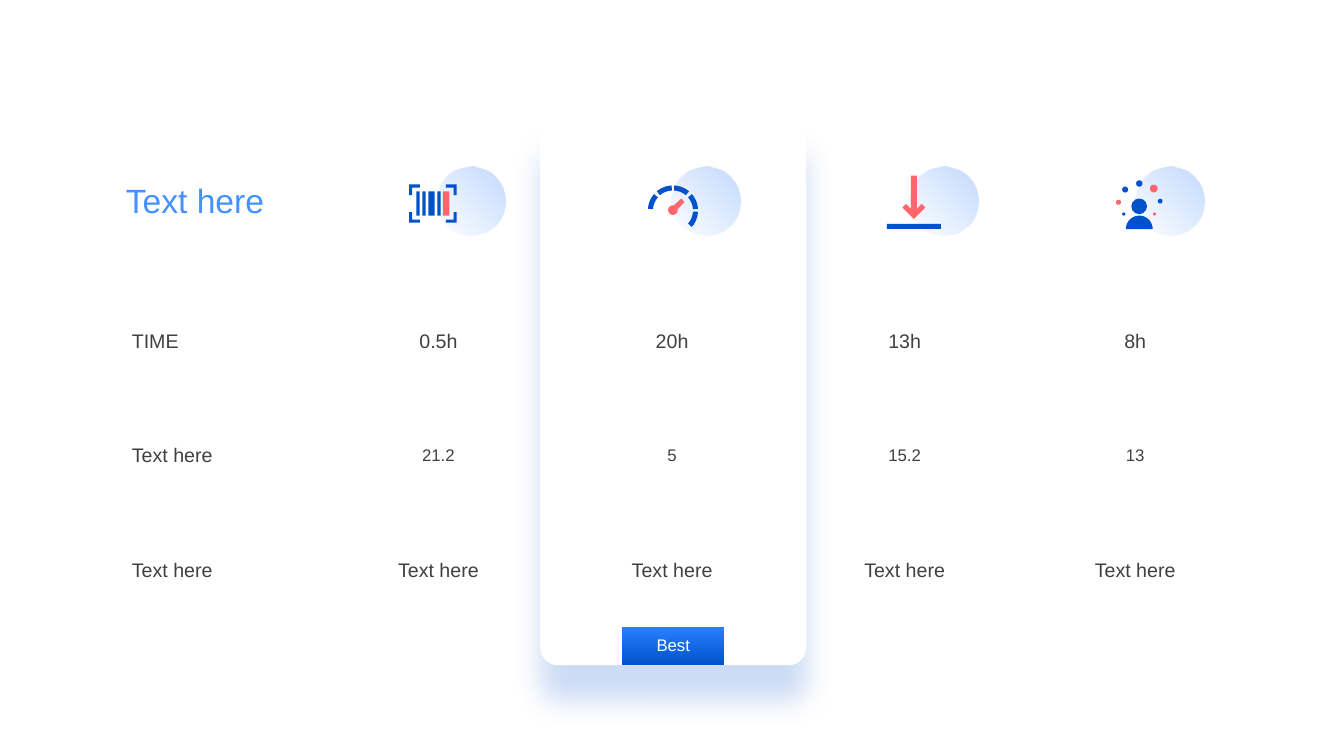
from math import cos, radians, sin

from lxml.etree import SubElement
from pptx import Presentation
from pptx.dml.color import RGBColor
from pptx.enum.shapes import MSO_SHAPE as SHAPE
from pptx.enum.text import MSO_AUTO_SIZE as AUTO, PP_ALIGN as ALIGN
from pptx.oxml.ns import qn
from pptx.util import Pt

COLORS = {"blue": "0052CC", "bright": "297FFF", "title": "4791FF", "pale": "C2DAFF",
          "coral": "FF666C", "gray": "404040", "white": "FFFFFF"}
RGB = {name: RGBColor.from_string(value) for name, value in COLORS.items()}

prs = Presentation()
prs.slide_width, prs.slide_height = Pt(960), Pt(540)
s = prs.slides.add_slide(prs.slide_layouts[6])


def add_text(text, left, middle, width, size=14, color="gray", align=ALIGN.CENTER):
    height = size * 1.2 + 7.2
    sp = s.shapes.add_textbox(Pt(left), Pt(middle - height / 2), Pt(width), Pt(height))
    tf = sp.text_frame
    tf.word_wrap = False
    tf.auto_size = AUTO.SHAPE_TO_FIT_TEXT
    p = tf.paragraphs[0]
    p.alignment = align
    r = p.add_run()
    r.text = text
    r.font.name = "Arial"
    r.font.size = Pt(size)
    r.font.color.rgb = RGB[color]
    return r


def add_filled(shapes, kind, color, geometry):
    if kind == "outline":
        points = [(Pt(x), Pt(y)) for x, y in geometry]
        builder = shapes.build_freeform(*points[0])
        builder.add_line_segments(points[1:], close=True)
        sp = builder.convert_to_shape()
    else:
        sp = shapes.add_shape(kind, *[Pt(v) for v in geometry])
    sp.shadow.inherit = False
    sp.fill.solid()
    sp.fill.fore_color.rgb = RGB[color]
    sp.line.fill.background()
    return sp


card = add_filled(s.shapes, SHAPE.ROUNDED_RECTANGLE, "white", (385.9, 83.5, 190.1, 391.7))
card.adjustments[0] = 0.067
effects = card._element.spPr.find(qn("a:effectLst"))
shadow = SubElement(effects, qn("a:outerShdw"), blurRad=str(Pt(20)), dist=str(Pt(25)),
                    dir="5400000", algn="t", rotWithShape="0")
tint = SubElement(shadow, qn("a:srgbClr"), val=COLORS["blue"])
SubElement(tint, qn("a:alpha"), val="20000")

for left in (479.5, 649.4, 811.4, 311.8):
    halo = add_filled(s.shapes, SHAPE.OVAL, "pale", (left, 118.8, 49.2, 49.2))
    halo.rotation = 28.2
    halo.fill.gradient()
    for stop in halo.fill.gradient_stops:
        stop.color.rgb = RGB["pale"]
    grad = halo._element.spPr.find(qn("a:gradFill"))
    SubElement(grad.findall(".//" + qn("a:srgbClr"))[1], qn("a:alpha"), val="0")
    grad.remove(grad.find(qn("a:lin")))
    focus = SubElement(grad, qn("a:path"), path="circle")
    SubElement(focus, qn("a:fillToRect"), l="100000", b="100000")

title = add_text("Text here", 82.8, 143.3, 114.5, 24, "title", ALIGN.LEFT)
title.font.fill.gradient()
title.font.fill.gradient_angle = 315
for stop, color in zip(title.font.fill.gradient_stops, ("title", "blue")):
    stop.color.rgb = RGB[color]

centers = (313.2, 480.1, 646.2, 810.9)
rows = [
    (("TIME", 48.2), 14, (("0.5h", 41.8), ("20h", 38.2), ("13h", 38.2), ("8h", 30.2))),
    (("Text here", 72.7), 12, (("21.2", 38.2), ("5", 20.9), ("15.2", 38.2), ("13", 28.1))),
    (("Text here", 72.7), 14, (("Text here", 72.7),) * 4),
]
for i, ((label, label_width), size, values) in enumerate(rows):
    middle = 243.3 + 81.7 * i
    add_text(label, 87.1, middle, label_width, align=ALIGN.LEFT)
    for center, (value, width) in zip(centers, values):
        add_text(value, center - width / 2, middle, width, size)

badge = add_filled(s.shapes, SHAPE.RECTANGLE, "blue", (444.2, 447.8, 73, 27.4))
badge.fill.gradient()
badge.fill.gradient_angle = 270
for stop, color in zip(badge.fill.gradient_stops, ("bright", "blue")):
    stop.color.rgb = RGB[color]
add_text("Best", 461.5, 460.8, 38.9, 12, "white")

barcode = s.shapes.add_group_shape().shapes
for x, dx in ((292.3, 1), (326.2, -1)):
    for y, dy in ((131.8, 1), (159.1, -1)):
        steps = ((0, 0), (0, 7.6), (2.2, 7.6), (2.2, 2.2), (7.6, 2.2), (7.6, 0))
        add_filled(barcode, "outline", "blue", [(x + dx * a, y + dy * b) for a, b in steps])
for x, width, color in ((297.4, 2.4, "blue"), (301.7, 2.4, "blue"), (306, 4.4, "blue"),
                        (312.4, 2.3, "blue"), (316.3, 4.7, "coral")):
    add_filled(barcode, SHAPE.RECTANGLE, color, (x, 136.8, width, 17.3))

gauge = s.shapes.add_group_shape().shapes
for first, last in ((-41, -3), (4, 41), (50, 87), (93, 130), (139, 176)):
    angles = [radians(first + (last - first) * k / 8) for k in range(9)]
    rim = [(480.7 + 17.9 * cos(a), 150.4 - 17.9 * sin(a)) for a in angles]
    inner = [(480.7 + 14.3 * cos(a), 150.4 - 14.3 * sin(a)) for a in reversed(angles)]
    add_filled(gauge, "outline", "blue", rim + inner)
hub = [(480.7 + 3.4 * cos(radians(a)), 150.1 - 3.4 * sin(radians(a)))
       for a in range(80, 371, 10)]
add_filled(gauge, "outline", "coral", hub + [(488.9, 144.2), (486.7, 141.8)])

download = s.shapes.add_group_shape().shapes
add_filled(download, "outline", "coral",
           [(650.7, 125.4), (650.7, 149.3), (647.2, 145.6), (644.6, 148.3), (652.8, 156.4),
            (661, 148.3), (658.4, 145.6), (654.9, 149.3), (654.9, 125.4)])
add_filled(download, SHAPE.RECTANGLE, "blue", (633.6, 159.9, 38.5, 3.6))

person = s.shapes.add_group_shape().shapes
for x, y, diameter, color in (
        (813.8, 131.1, 4.6, "blue"), (824.2, 134.7, 5.6, "coral"), (803.7, 135.4, 4.3, "blue"),
        (813.7, 147.4, 11.2, "blue"), (828.7, 143.7, 3.4, "blue"), (798.9, 144.5, 3.6, "coral"),
        (802.7, 152.9, 2.3, "blue"), (824.7, 152.9, 2.2, "coral")):
    add_filled(person, SHAPE.OVAL, color,
               (x - diameter / 2, y - diameter / 2, diameter, diameter))
shoulders = [(813.8 + 9.6 * cos(radians(a)), 163.6 - 9.6 * sin(radians(a)))
             for a in range(0, 181, 10)]
add_filled(person, "outline", "blue", shoulders)

prs.save("out.pptx")
